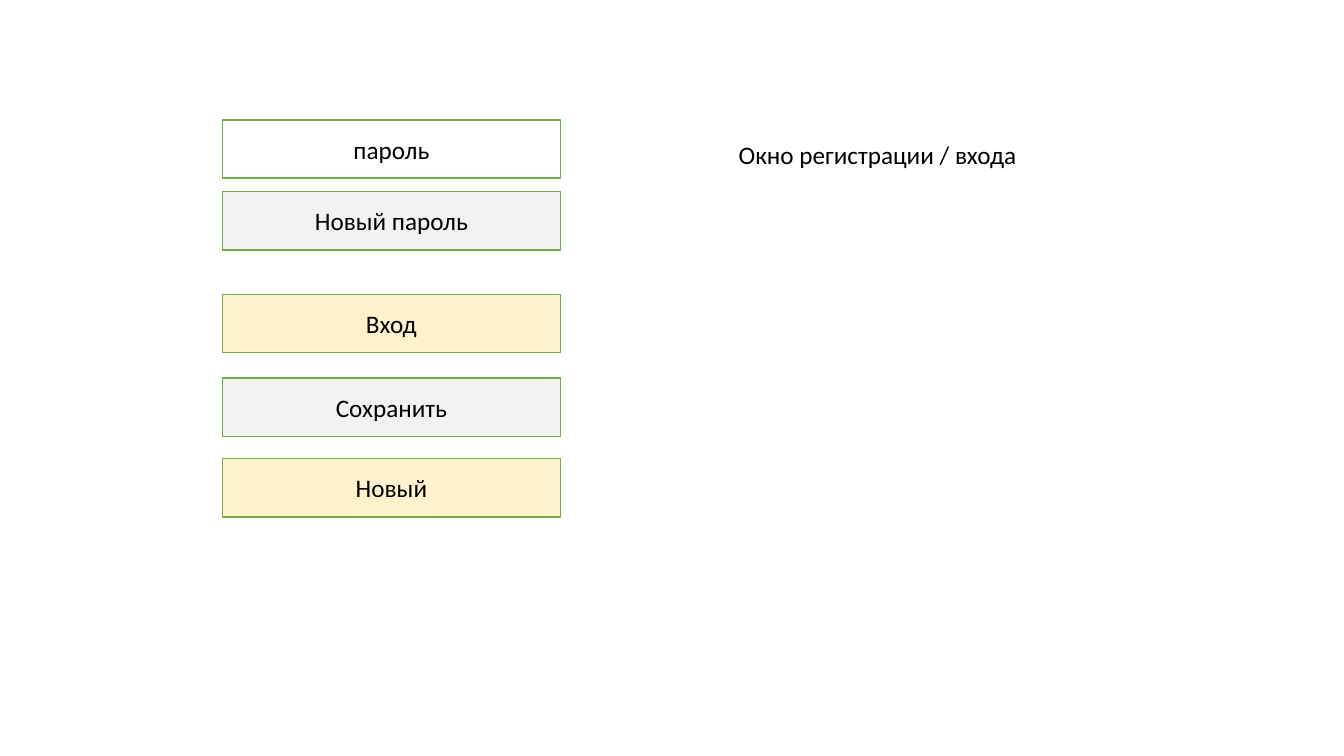
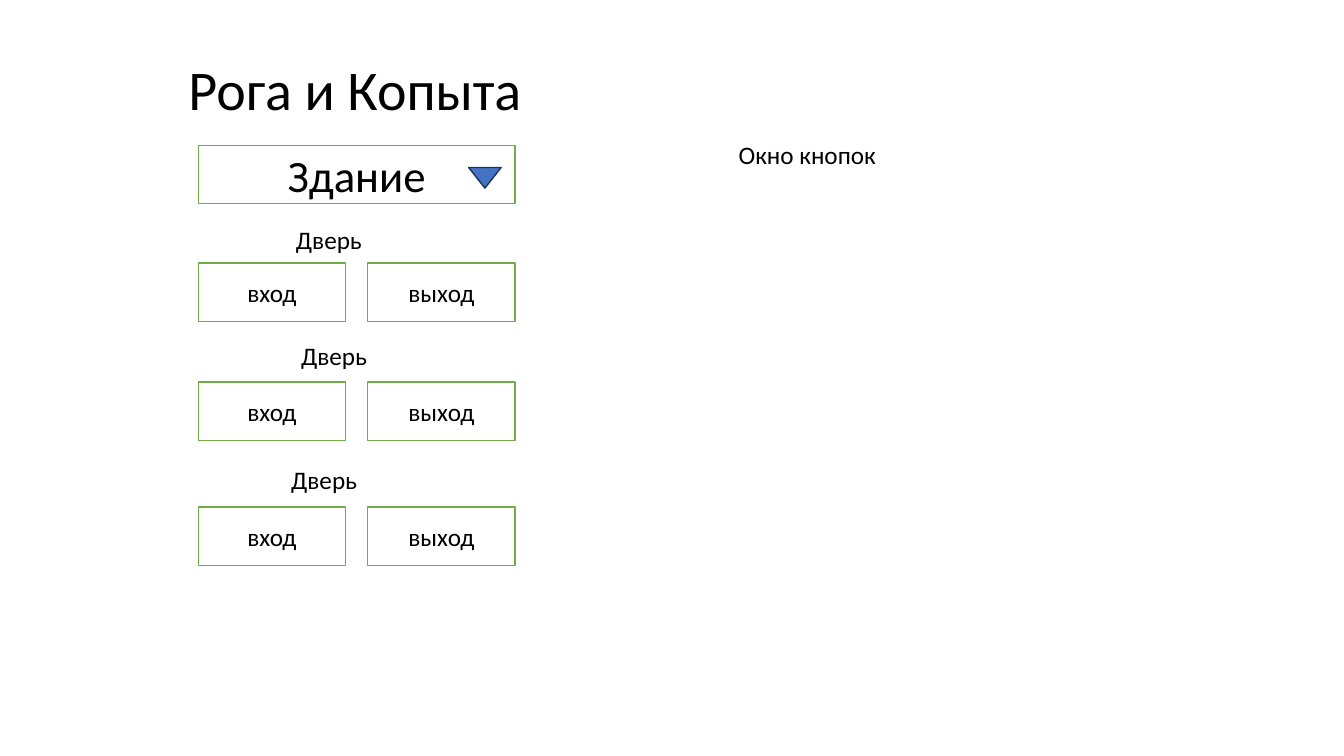
from pptx import Presentation
from pptx.dml.color import RGBColor
from pptx.enum.shapes import MSO_SHAPE as Shape
from pptx.enum.text import MSO_ANCHOR as Anchor, PP_ALIGN as Align
from pptx.util import Cm, Pt

BLACK = RGBColor(0x00, 0x00, 0x00)
WHITE = RGBColor(0xFF, 0xFF, 0xFF)
GRAY = RGBColor(0xF2, 0xF2, 0xF2)
CREAM = RGBColor(0xFF, 0xF2, 0xCC)
GREEN = RGBColor(0x70, 0xAD, 0x47)
BLUE = RGBColor(0x44, 0x72, 0xC4)
NAVY = RGBColor(0x1E, 0x32, 0x56)
FONT = "Calibri"
HIGH = 1.47  # height of every field and button, cm


def write(shape, text, size=18, align=Align.LEFT, anchor=Anchor.TOP):
    """Put one unwrapped line of black text into a shape."""
    frame = shape.text_frame
    frame.text = text
    frame.word_wrap = False
    frame.vertical_anchor = anchor
    para = frame.paragraphs[0]
    para.alignment = align
    para.font.name = FONT
    para.font.size = Pt(size)
    para.font.color.rgb = BLACK


def draw(slide, kind, left, top, width, height, fill, line):
    """Add a flat shape with a 1 pt outline; lengths in cm."""
    shape = slide.shapes.add_shape(
        kind, Cm(left), Cm(top), Cm(width), Cm(height))
    shape.shadow.inherit = False
    shape.fill.solid()
    shape.fill.fore_color.rgb = fill
    shape.line.color.rgb = line
    shape.line.width = Pt(1)
    return shape


deck = Presentation()
deck.slide_width, deck.slide_height = Cm(33.87), Cm(19.05)

# Slides with their captions
slides = []
for text, width in [("Окно регистрации / входа", 7.75), ("Окно кнопок", 4.01)]:
    slide = deck.slides.add_slide(deck.slide_layouts[5])
    title = slide.shapes.title
    title.left, title.top = Cm(18.36), Cm(3.38)
    title.width, title.height = Cm(width), Cm(1.03)
    write(title, text)
    slides.append(slide)
login, panel = slides

# Login window
for text, top, fill in [
    ("пароль", 3.02, WHITE),
    ("Новый пароль", 4.83, GRAY),
    ("Вход", 7.42, CREAM),
    ("Сохранить", 9.53, GRAY),
    ("Новый", 11.56, CREAM),
]:
    box = draw(login, Shape.RECTANGLE, 5.61, top, 8.51, HIGH, fill, GREEN)
    write(box, text, align=Align.CENTER, anchor=Anchor.MIDDLE)

# Button window: heading and building list
LEFT, WIDE, GAP = 5, 3.71, 0.56
head = panel.shapes.add_textbox(Cm(4.5), Cm(1.24), Cm(8.99), Cm(1.96))
write(head, "Рога и Копыта", 40)
field = draw(panel, Shape.RECTANGLE, LEFT, 3.66, 2 * WIDE + GAP, HIGH,
             WHITE, GREEN)
write(field, "Здание", 32, Align.CENTER, Anchor.MIDDLE)
arrow = draw(panel, Shape.ISOSCELES_TRIANGLE, 11.81, 4.22, 0.82, 0.52,
             BLUE, NAVY)
arrow.rotation = 180

# Doors: a label above a pair of buttons
for left, top, row in [(7.21, 5.54, 6.63), (7.34, 8.46, 9.63),
                       (7.09, 11.58, 12.78)]:
    label = panel.shapes.add_textbox(Cm(left), Cm(top), Cm(2.18), Cm(1.03))
    write(label, "Дверь")
    for col, text in enumerate(["вход", "выход"]):
        button = draw(panel, Shape.RECTANGLE, LEFT + col * (WIDE + GAP), row,
                      WIDE, HIGH, WHITE, GREEN)
        write(button, text, align=Align.CENTER, anchor=Anchor.MIDDLE)

deck.save("out.pptx")
